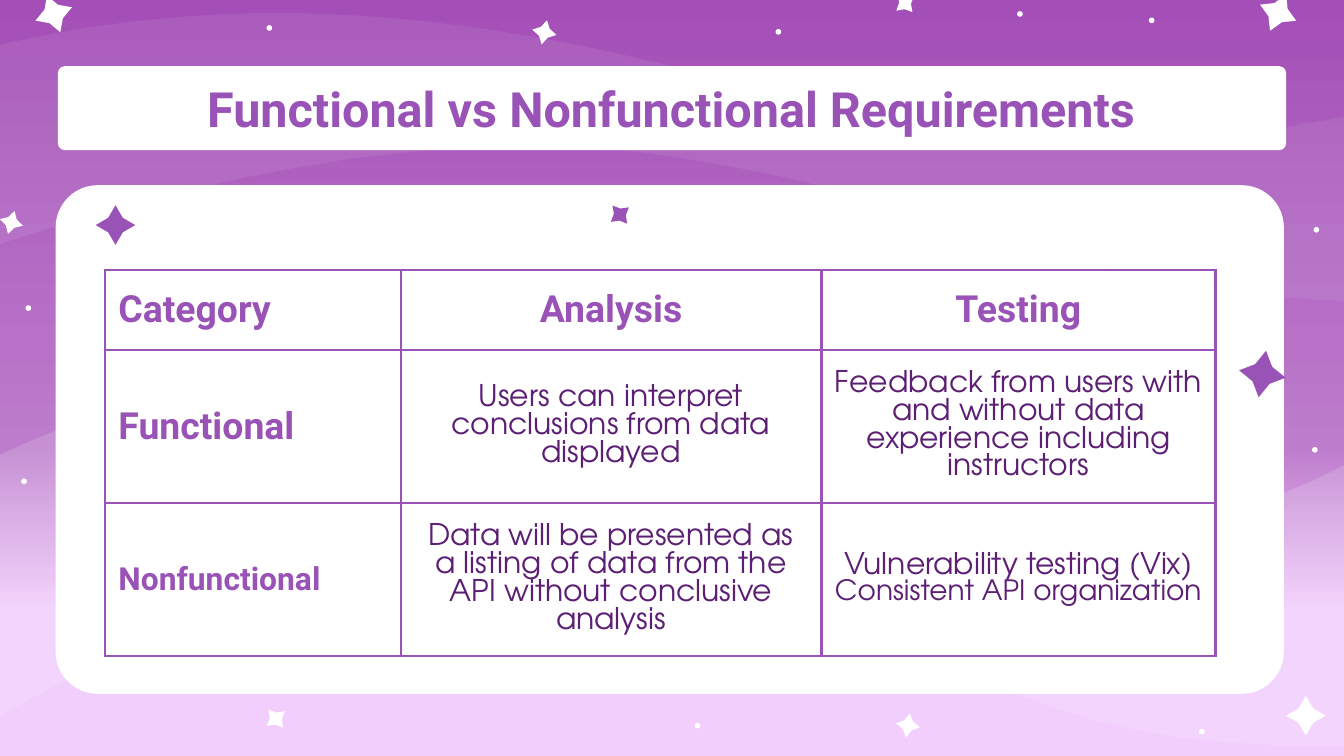
import math

import lxml.etree
import pptx
import pptx.dml.color
import pptx.enum.shapes
import pptx.enum.text
import pptx.oxml
import pptx.oxml.ns
import pptx.util

Pt = pptx.util.Pt
qn = pptx.oxml.ns.qn
SHAPE = pptx.enum.shapes.MSO_SHAPE
ALIGN = pptx.enum.text.PP_ALIGN
MIDDLE = pptx.enum.text.MSO_ANCHOR.MIDDLE

TITLE = "Functional vs Nonfunctional Requirements"
# Each cell is a list of (text, style) paragraphs.
ROWS = [
    [[("Category", "heading")], [("Analysis", "heading")], [("Testing", "heading")]],
    [
        [("Functional", "heading")],
        [("Users can interpret conclusions from data displayed", "body")],
        [("Feedback from users with and without data experience including instructors", "body")],
    ],
    [
        [("Nonfunctional", "subheading")],
        [("Data will be presented as a listing of data from the API without conclusive analysis", "body")],
        [("Vulnerability testing (Vix)", "body"), ("Consistent API organization", "small")],
    ],
]

THEME = {
    "white": "FFFFFF",
    "accent": "9952B6",
    "wave": "F4F6F8",
    "sky": [(0, "F2CEFD"), (19, "F3CEFD"), (41, "BD7CCC"), (100, "A44FB7")],
    # font, size, colour, bold
    "title": ("Roboto", 26, "9952B6", True),
    "heading": ("Roboto", 20, "9952B6", True),
    "subheading": ("Roboto", 17, "9952B6", True),
    "body": ("TeX Gyre Adventor", 16, "5C1F74", False),
    "small": ("TeX Gyre Adventor", 15, "5C1F74", False),
}

SLIDE_W, SLIDE_H = 720, 405
TITLE_PANEL = (31, 35.5, 658, 45)
CONTENT_PANEL = (29.8, 99.2, 658, 272.5)
TITLE_BOX = (56.2, 35.5, 607.6, 45)
TABLE_AT = (56.2, 144.8)
COLUMN_WIDTHS = (158.5, 225.4, 211)
ROW_HEIGHTS = (42.6, 82, 82)
INSET = 7.2
BORDER = 1.5

# Outlines: a start point, then one tuple per segment
# (one point for a line, three for a Bézier curve).
LOWER_WAVE = [
    (174, 202), ((108, 202), (43, 220), (-29, 258)), ((-6, 387),),
    ((-6, 387), (147, 293), (289, 293)), ((307, 293), (325, 294), (343, 298)),
    ((498, 330), (530, 394), (680, 399)), ((709, 400), (729, 400), (742, 400)),
    ((790, 400), (720, 394), (720, 394)), ((731, 243),),
    ((731, 243), (656, 291), (552, 291)), ((510, 291), (464, 283), (416, 263)),
    ((326, 225), (249, 202), (174, 202)),
]
UPPER_WAVE = [
    (595, 163), ((672, 163), (747, 150), (832, 120)), ((804, 17),),
    ((804, 17), (626, 92), (461, 92)), ((439, 92), (418, 91), (396, 88)),
    ((216, 63), (179, 12), (4, 8)), ((-32, 7), (-55, 7), (-68, 7)),
    ((-126, 7), (-44, 12), (-44, 12)), ((-56, 131),),
    ((-56, 131), (31, 94), (153, 94)), ((202, 94), (256, 99), (311, 115)),
    ((417, 146), (506, 163), (595, 163)),
]
# Stars: centre x, centre y, radius, clockwise turn in degrees
WHITE_STARS = [
    (699.6, 383.4, 10.6, 0), (684.7, 6.8, 10.6, 24), (28.8, 7.5, 10.4, -20),
    (291.6, 17.3, 6.6, 12.5), (486.4, 388.6, 6.5, 9), (147.8, 385, 6.2, -39),
    (484.9, 1.8, 6.1, -40), (6.1, 119.2, 6.4, 16),
]
ACCENT_STARS = [(676.3, 200.4, 12.6, 9), (61.9, 120.6, 10.6, 0), (332.1, 115, 6.2, -39)]
DOT = 3
DOTS = [
    (142.8, 13.5), (415.5, 15.6), (11.4, 256.4), (702.9, 239.5), (615.5, 9.4),
    (544.9, 6), (13.7, 163.6), (372.2, 387.2), (642.4, 390.4), (703.7, 121.6),
]


def rgb(code):
    return pptx.dml.color.RGBColor.from_string(code)


def paint(shape, colour):
    shape.shadow.inherit = False
    shape.fill.solid()
    shape.fill.fore_color.rgb = rgb(colour)
    shape.line.fill.background()
    return shape


def add_preset(slide, preset, box, colour):
    return paint(slide.shapes.add_shape(preset, *map(Pt, box)), colour)


def add_outline(slide, points, colour):
    start, *others = [(Pt(x), Pt(y)) for x, y in points]
    builder = slide.shapes.build_freeform(*start, scale=1.0)
    builder.add_line_segments(others, close=True)
    return paint(builder.convert_to_shape(), colour)


def add_sky(slide):
    sky = add_preset(slide, SHAPE.RECTANGLE, (0, 0, SLIDE_W, SLIDE_H), THEME["white"])
    sky.fill.gradient()
    sky.fill.gradient_angle = 90
    stops = sky.element.spPr.find(".//" + qn("a:gsLst"))
    for stop in list(stops):
        stops.remove(stop)
    for percent, colour in THEME["sky"]:
        stop = lxml.etree.SubElement(stops, qn("a:gs"), pos=str(percent * 1000))
        lxml.etree.SubElement(stop, qn("a:srgbClr"), val=colour)


def add_wave(slide, outline, opacity, rotation=0):
    points, steps = [outline[0]], 16
    for segment in outline[1:]:
        if len(segment) == 1:
            points += segment
            continue
        curve = (points[-1], *segment)
        for step in range(1, steps + 1):
            t = step / steps
            weights = [math.comb(3, i) * t**i * (1 - t) ** (3 - i) for i in range(4)]
            points.append(tuple(sum(w * p[axis] for w, p in zip(weights, curve)) for axis in (0, 1)))
    wave = add_outline(slide, points, THEME["wave"])
    wave.rotation = rotation
    colour = wave.element.spPr.find(".//" + qn("a:srgbClr"))
    lxml.etree.SubElement(colour, qn("a:alpha"), val=str(opacity * 1000))


def add_star(slide, x, y, radius, turn, colour):
    points = []
    for corner in range(8):
        angle = math.radians(turn + 45 * corner)
        reach = radius * (0.52 if corner % 2 else 1)
        points.append((x + reach * math.sin(angle), y - reach * math.cos(angle)))
    add_outline(slide, points, colour)


def style(paragraph, name, align):
    paragraph.alignment = align
    font = paragraph.runs[0].font
    font.name, size, colour, font.bold = THEME[name]
    font.size = Pt(size)
    font.color.rgb = rgb(colour)


def set_insets(box):
    box.margin_left = box.margin_right = box.margin_top = box.margin_bottom = Pt(INSET)
    box.vertical_anchor = MIDDLE


def add_title(slide):
    title = slide.shapes.title
    slide.shapes.element.append(title.element)  # in front of the backdrop
    title.left, title.top, title.width, title.height = map(Pt, TITLE_BOX)
    frame = title.text_frame
    frame.text = TITLE
    frame.auto_size = pptx.enum.text.MSO_AUTO_SIZE.NONE
    set_insets(frame)
    style(frame.paragraphs[0], "title", ALIGN.CENTER)


def set_borders(cell):
    properties = cell._tc.get_or_add_tcPr()
    for place, side in enumerate(("a:lnL", "a:lnR", "a:lnT", "a:lnB")):
        line = lxml.etree.Element(qn(side), w=str(Pt(BORDER)))
        fill = lxml.etree.SubElement(line, qn("a:solidFill"))
        lxml.etree.SubElement(fill, qn("a:srgbClr"), val=THEME["accent"])
        properties.insert(place, line)


def add_requirements(slide):
    size = (sum(COLUMN_WIDTHS), sum(ROW_HEIGHTS))
    table = slide.shapes.add_table(len(ROWS), len(ROWS[0]), *map(Pt, TABLE_AT + size)).table
    table.first_row = table.horz_banding = False
    for column, width in zip(table.columns, COLUMN_WIDTHS):
        column.width = Pt(width)
    for row, height, contents in zip(table.rows, ROW_HEIGHTS, ROWS):
        row.height = Pt(height)
        for index, (cell, lines) in enumerate(zip(row.cells, contents)):
            cell.text_frame.text = "\n".join(text for text, _ in lines)
            for paragraph, (_, name) in zip(cell.text_frame.paragraphs, lines):
                style(paragraph, name, ALIGN.CENTER if index else ALIGN.LEFT)
            set_insets(cell)
            cell.fill.background()
            set_borders(cell)


def main():
    deck = pptx.Presentation()
    deck.slide_width, deck.slide_height = Pt(SLIDE_W), Pt(SLIDE_H)
    slide = deck.slides.add_slide(deck.slide_layouts[5])
    add_sky(slide)
    add_wave(slide, LOWER_WAVE, 17)
    for panel in (TITLE_PANEL, CONTENT_PANEL):
        add_preset(slide, SHAPE.ROUNDED_RECTANGLE, panel, THEME["white"]).adjustments[0] = 0.083
    add_wave(slide, UPPER_WAVE, 8, rotation=180)
    for dot in DOTS:
        add_preset(slide, SHAPE.OVAL, (*dot, DOT, DOT), THEME["white"])
    for star in WHITE_STARS:
        add_star(slide, *star, THEME["white"])
    add_title(slide)
    add_requirements(slide)
    for star in ACCENT_STARS:
        add_star(slide, *star, THEME["accent"])
    deck.save("out.pptx")


if __name__ == "__main__":
    main()
